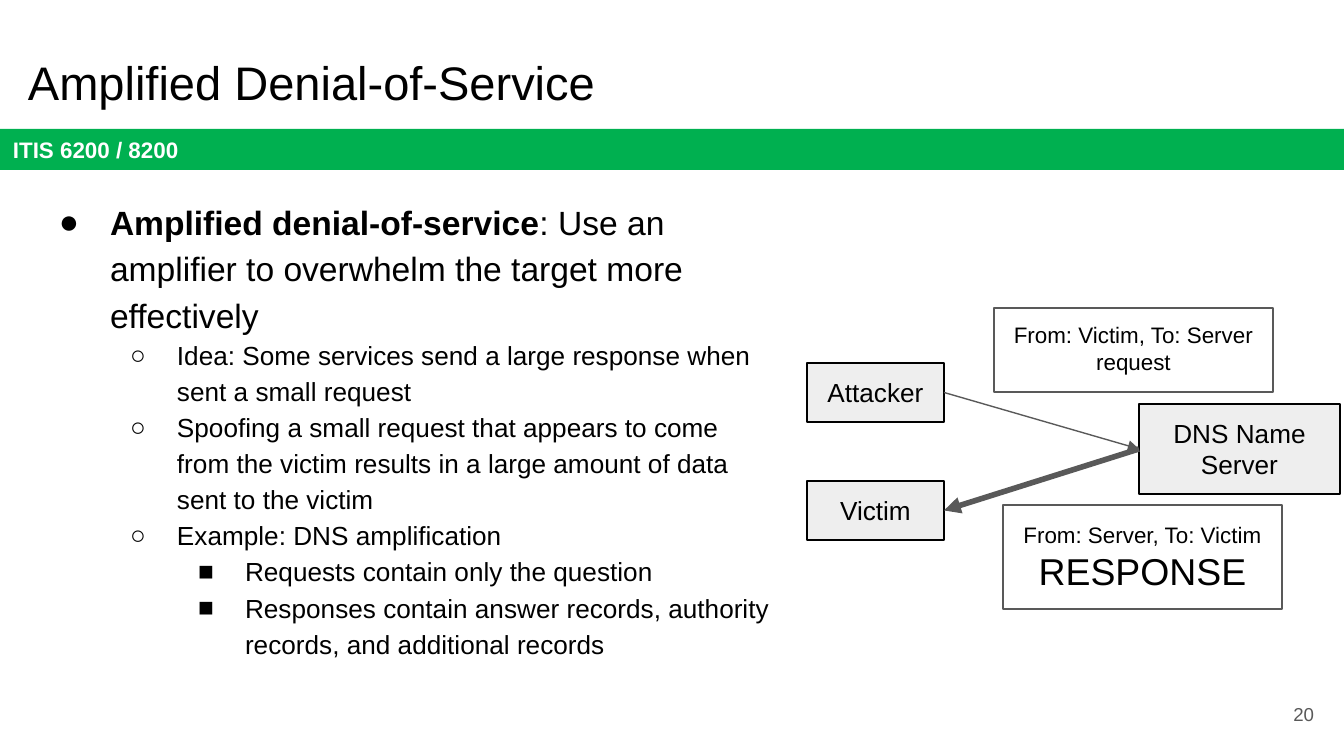
from lxml import etree
from pptx import Presentation
from pptx.dml.color import RGBColor
from pptx.enum.shapes import MSO_CONNECTOR, MSO_SHAPE
from pptx.enum.text import MSO_ANCHOR, PP_ALIGN
from pptx.oxml.ns import qn
from pptx.util import Pt

PX = 914400 / 134.4
INSET = 13
LEFT, CENTER, RIGHT = PP_ALIGN.LEFT, PP_ALIGN.CENTER, PP_ALIGN.RIGHT
TOP, MIDDLE = MSO_ANCHOR.TOP, MSO_ANCHOR.MIDDLE
RECT, STRAIGHT = MSO_SHAPE.RECTANGLE, MSO_CONNECTOR.STRAIGHT
SIDE_LEFT, SIDE_RIGHT = 1, 3

BLACK, WHITE, GREEN = "000000", "FFFFFF", "00B050"
GRAY, PALE = "595959", "EEEEEE"

# Bullet character, text indent and hanging indent (px), size by level
LEVELS = [("●", 67, 51, 18), ("○", 134, 47, 14), ("■", 202, 47, 14)]
# Each point: level, then (text, bold) runs
POINTS = [
    (0, [("Amplified denial-of-service", True),
         (": Use an amplifier to overwhelm the target more effectively", False)]),
    (1, [("Idea: Some services send a large response when sent a small request", False)]),
    (1, [("Spoofing a small request that appears to come from the victim "
          "results in a large amount of data sent to the victim", False)]),
    (1, [("Example: DNS amplification", False)]),
    (2, [("Requests contain only the question", False)]),
    (2, [("Responses contain answer records, authority records, "
          "and additional records", False)]),
]


def px(n):
    return round(n * PX)


def rgb(color):
    return RGBColor.from_string(color)


def set_attrs(target, values):
    for name, value in values.items():
        setattr(target, name, value)


def add_run(p, text, size, color=BLACK, bold=False):
    r = p.add_run()
    r.text = text
    set_attrs(r.font, {"name": "Arial", "size": Pt(size), "bold": bold})
    r.font.color.rgb = rgb(color)


def frame(sp, anchor):
    tf = sp.text_frame
    margins = {f"margin_{side}": px(INSET) for side in ("left", "top", "right", "bottom")}
    set_attrs(tf, {"word_wrap": True, "vertical_anchor": anchor, **margins})
    return tf


def write(sp, lines, align=LEFT, anchor=TOP, color=BLACK, bold=False):
    """Fill a shape with one paragraph for each (text, size) pair."""
    tf = frame(sp, anchor)
    for i, (text, size) in enumerate(lines):
        p = tf.add_paragraph() if i else tf.paragraphs[0]
        p.alignment = align
        add_run(p, text, size, color, bold)


def add_text(s, box, lines, **style):
    write(s.shapes.add_textbox(*map(px, box)), lines, **style)


def add_box(s, box, lines, fill, line=None, **style):
    sp = s.shapes.add_shape(RECT, *map(px, box))
    sp.shadow.inherit = False
    sp.fill.solid()
    sp.fill.fore_color.rgb = rgb(fill)
    if line:
        sp.line.color.rgb = rgb(line)
        sp.line.width = Pt(0.75)
    else:
        sp.line.fill.background()
    write(sp, lines, **style)
    return sp


def add_arrow(s, start, start_side, end, end_side, width):
    cn = s.shapes.add_connector(STRAIGHT, 0, 0, 0, 0)
    cn.begin_connect(start, start_side)
    cn.end_connect(end, end_side)
    cn.line.color.rgb = rgb(GRAY)
    cn.line.width = Pt(width)
    etree.SubElement(cn.line._get_or_add_ln(), qn("a:tailEnd"), type="triangle")
    etree.SubElement(cn._element.spPr, qn("a:effectLst"))


def add_bullet(p, level):
    char, indent, hanging, size = LEVELS[level]
    p.level = level
    p.line_spacing = 1.15
    pPr = p._p.get_or_add_pPr()
    pPr.set("marL", str(px(indent)))
    pPr.set("indent", str(-px(hanging)))
    color = etree.SubElement(pPr, qn("a:buClr"))
    etree.SubElement(color, qn("a:srgbClr"), val=BLACK)
    etree.SubElement(pPr, qn("a:buSzPts"), val=str(size * 100))
    etree.SubElement(pPr, qn("a:buFont"), typeface="Arial")
    etree.SubElement(pPr, qn("a:buChar"), char=char)
    return size


def add_points(s, box, points):
    tf = frame(s.shapes.add_textbox(*map(px, box)), TOP)
    for i, (level, runs) in enumerate(points):
        p = tf.add_paragraph() if i else tf.paragraphs[0]
        size = add_bullet(p, level)
        for text, bold in runs:
            add_run(p, text, size, bold=bold)


def main():
    prs = Presentation()
    prs.slide_width, prs.slide_height = px(1344), px(756)
    s = prs.slides.add_slide(prs.slide_layouts[6])

    # Course band, title, points and page number
    add_box(s, (0, 129, 1344, 41), [("ITIS 6200 / 8200", 12)], GREEN,
            anchor=MIDDLE, color=WHITE, bold=True)
    add_text(s, (15, 40, 1253, 85), [("Amplified Denial-of-Service", 25.2)])
    add_points(s, (30, 183, 755, 554), POINTS)
    add_text(s, (1246, 685, 81, 58), [("20", 10)],
             align=RIGHT, anchor=MIDDLE, color=GRAY)

    # Hosts
    attacker, server, victim = [
        add_box(s, box, [(name, 14)], PALE, BLACK, align=CENTER)
        for name, box in [("Attacker", (807, 363, 137, 59)),
                          ("DNS Name Server", (1139, 404, 201, 90)),
                          ("Victim", (807, 481, 137, 59))]
    ]

    # Small request and large response
    add_arrow(s, attacker, SIDE_RIGHT, server, SIDE_LEFT, 0.75)
    add_box(s, (994, 308, 279, 84),
            [("From: Victim, To: Server", 12), ("request", 12)],
            WHITE, GRAY, align=CENTER)
    add_arrow(s, server, SIDE_LEFT, victim, SIDE_RIGHT, 3)
    add_box(s, (1003, 505, 279, 104),
            [("From: Server, To: Victim", 12), ("RESPONSE", 20)],
            WHITE, GRAY, align=CENTER, anchor=MIDDLE)

    prs.save("out.pptx")


if __name__ == "__main__":
    main()
